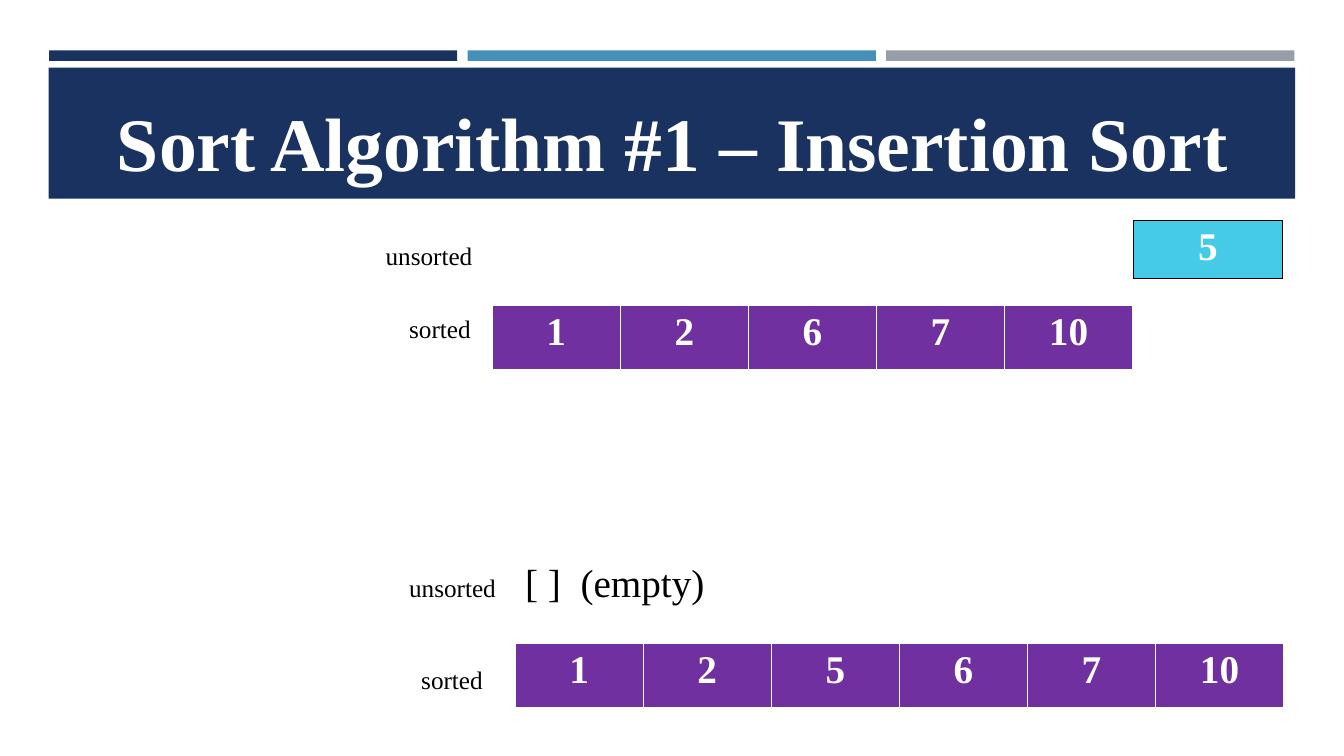
from dataclasses import dataclass

from lxml import etree
from pptx import Presentation
from pptx.dml.color import RGBColor
from pptx.enum.shapes import MSO_SHAPE
from pptx.enum.text import MSO_ANCHOR, PP_ALIGN
from pptx.oxml.ns import qn
from pptx.util import Pt

RECT = MSO_SHAPE.RECTANGLE
CENTER = PP_ALIGN.CENTER
LOW = MSO_ANCHOR.BOTTOM


@dataclass
class Theme:
    font: str = "Times New Roman"
    navy: str = "1A3260"
    blue: str = "4590B8"
    gray: str = "969FA7"
    plum: str = "7030A0"
    cyan: str = "45CBE8"
    white: str = "FFFFFF"
    black: str = "000000"
    head: int = 54
    value: int = 28
    label: int = 18


class Deck:
    def __init__(self, theme):
        self.theme = theme
        self.show = Presentation()
        self.show.slide_width = Pt(960)
        self.show.slide_height = Pt(540)
        self.slide = self.show.slides.add_slide(self.show.slide_layouts[5])

    def style(self, par, size, color, bold=False):
        font = par.font
        font.name = self.theme.font
        font.size = Pt(size)
        font.bold = bold
        font.color.rgb = RGBColor.from_string(color)

    def title(self, text, left, top, width, height):
        box = self.slide.shapes.title
        box.left, box.top = Pt(left), Pt(top)
        box.width, box.height = Pt(width), Pt(height)
        frame = box.text_frame
        frame.text = text
        frame.word_wrap = True
        frame.vertical_anchor = LOW
        par = frame.paragraphs[0]
        par.alignment = CENTER
        self.style(par, self.theme.head, self.theme.white, True)

    def bar(self, left, top, width, height, color):
        bar = self.slide.shapes.add_shape(
            RECT, Pt(left), Pt(top), Pt(width), Pt(height))
        bar.shadow.inherit = False
        bar.fill.solid()
        bar.fill.fore_color.rgb = RGBColor.from_string(color)
        bar.line.fill.background()
        tree = self.slide.shapes.title.element
        tree.addprevious(bar.element)

    def text(self, text, left, top, width, height, size):
        box = self.slide.shapes.add_textbox(
            Pt(left), Pt(top), Pt(width), Pt(height))
        frame = box.text_frame
        frame.word_wrap = True
        frame.text = text
        self.style(frame.paragraphs[0], size, self.theme.black)

    def border(self, cell, color, base):
        props = cell._tc.get_or_add_tcPr()
        widths = {"a:lnL": 1, "a:lnR": 1, "a:lnT": 1, "a:lnB": base}
        for spot, (tag, width) in enumerate(widths.items()):
            line = etree.Element(qn(tag), w=str(Pt(width)))
            fill = etree.SubElement(line, qn("a:solidFill"))
            etree.SubElement(fill, qn("a:srgbClr"), val=color)
            props.insert(spot, line)

    def array(self, values, left, top, step, height, color, edge, base):
        table = self.slide.shapes.add_table(
            1, len(values), Pt(left), Pt(top),
            Pt(step * len(values)), Pt(height)).table
        table.first_row = False
        table.horz_banding = False
        for col, value in enumerate(values):
            table.columns[col].width = Pt(step)
            cell = table.cell(0, col)
            cell.text = str(value)
            cell.fill.solid()
            cell.fill.fore_color.rgb = RGBColor.from_string(color)
            par = cell.text_frame.paragraphs[0]
            par.alignment = CENTER
            self.style(par, self.theme.value, self.theme.white, True)
            self.border(cell, edge, base)


def main():
    theme = Theme()
    deck = Deck(theme)

    for i, color in enumerate((theme.navy, theme.blue, theme.gray)):
        deck.bar(35 + 299 * i, 36, 291.6, 7.5, color)
    deck.bar(34.8, 48.4, 890.4, 93.6, theme.navy)
    deck.title("Sort Algorithm #1 – Insertion Sort", 67, 64, 826.6, 72.7)

    labels = (
        ("unsorted", 268.4, 167.8),
        ("sorted", 285.2, 220.4),
        ("unsorted", 285.2, 405.4),
        ("sorted", 293.8, 470.8),
    )
    for text, left, top in labels:
        deck.text(text, left, top, 111, 29, theme.label)
    deck.text("[ ]  (empty)", 368, 395.4, 301, 41, theme.value)

    step = 91.5
    deck.array([1, 2, 5, 6, 7, 10], 368, 459.4, step, 46.8,
               theme.plum, theme.white, 3)
    deck.array([5], 809.4, 157.7, 106.6, 41,
               theme.cyan, theme.black, 1)
    deck.array([1, 2, 6, 7, 10], 351.6, 218.2, step, 46.8,
               theme.plum, theme.white, 3)

    deck.show.save("out.pptx")


if __name__ == "__main__":
    main()
